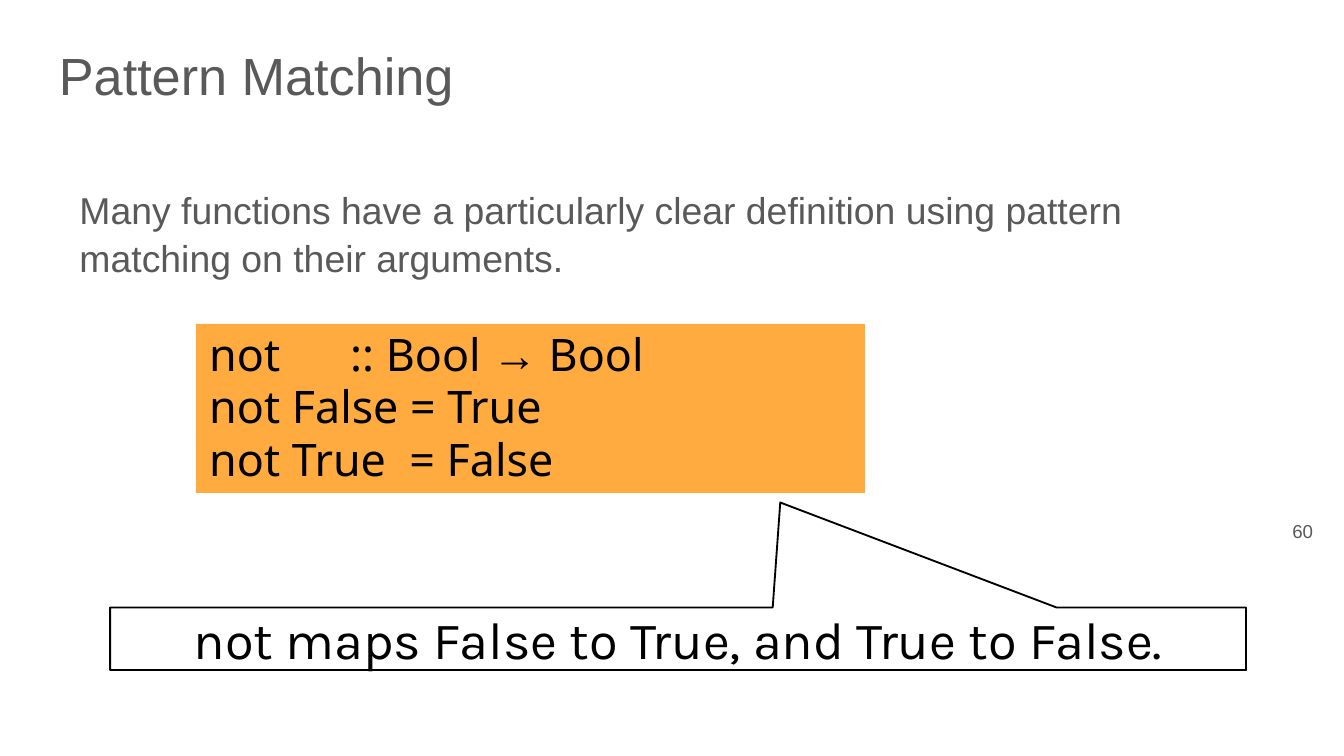
from dataclasses import dataclass

from pptx import Presentation
from pptx.dml.color import RGBColor
from pptx.enum.shapes import MSO_SHAPE
from pptx.enum.text import MSO_ANCHOR, PP_ALIGN
from pptx.util import Pt


@dataclass(frozen=True)
class Theme:
    gray: RGBColor = RGBColor(0x59, 0x59, 0x59)
    black: RGBColor = RGBColor(0, 0, 0)
    orange: RGBColor = RGBColor(0xFF, 0xAB, 0x40)
    sans: str = "Arial"
    code: str = "Noto Sans"
    arrow: str = "Times New Roman"
    note: str = "Karla"
    small: int = 10
    body: int = 20
    mono: int = 24
    large: int = 28


THEME = Theme()


def style(part, font, size, color, align=PP_ALIGN.LEFT, space=None):
    part.alignment = align
    part.line_spacing = space
    part.font.name = font
    part.font.size = Pt(size)
    part.font.color.rgb = color


def add_text(slide, box, text, size, anchor=MSO_ANCHOR.TOP, **kind):
    frame = slide.shapes.add_textbox(*map(Pt, box)).text_frame
    frame.word_wrap = True
    frame.vertical_anchor = anchor
    frame.text = text
    style(frame.paragraphs[0], THEME.sans, size, THEME.gray, **kind)


def add_panel(slide, kind, box):
    panel = slide.shapes.add_shape(kind, *map(Pt, box))
    panel.shadow.inherit = False
    panel.text_frame.word_wrap = True
    panel.text_frame.vertical_anchor = MSO_ANCHOR.MIDDLE
    return panel


def add_code(slide, box, lines):
    panel = add_panel(slide, MSO_SHAPE.RECTANGLE, box)
    panel.fill.solid()
    panel.fill.fore_color.rgb = THEME.orange
    panel.line.fill.background()
    frame = panel.text_frame
    for i, line in enumerate(lines):
        part = frame.add_paragraph() if i else frame.paragraphs[0]
        style(part, THEME.code, THEME.mono, THEME.black, space=0.97)
        # The arrow sign has its own font
        head, sign, tail = line.partition("→")
        for text in filter(None, (head, sign, tail)):
            run = part.add_run()
            run.text = text
            run.font.name = THEME.arrow if text == "→" else THEME.code


def add_callout(slide, box, tip, text):
    panel = add_panel(slide, MSO_SHAPE.ROUNDED_RECTANGULAR_CALLOUT, box)
    for i, value in enumerate((*tip, 0)):
        panel.adjustments[i] = value
    panel.fill.background()
    panel.line.color.rgb = THEME.black
    panel.line.width = Pt(1)
    panel.text_frame.text = text
    style(panel.text_frame.paragraphs[0], THEME.note, THEME.large,
          THEME.black, PP_ALIGN.CENTER)


def main():
    deck = Presentation()
    deck.slide_width, deck.slide_height = Pt(720), Pt(405)
    slide = deck.slides.add_slide(deck.slide_layouts[6])

    # Page number and title
    add_text(slide, (667.5, 275, 43, 23), "60", THEME.small,
             align=PP_ALIGN.RIGHT)
    add_text(slide, (24.5, 26.5, 671, 34), "Pattern Matching", THEME.large,
             MSO_ANCHOR.BOTTOM)

    # Lead sentence
    add_text(slide, (35.5, 96.5, 650, 56),
             "Many functions have a particularly clear definition using "
             "pattern matching on their arguments.",
             THEME.body, MSO_ANCHOR.MIDDLE, space=1.06)

    # Code and its explanation
    add_code(slide, (105, 173.5, 358.5, 90.5), (
        "not      :: Bool → Bool",
        "not False = True",
        "not True  = False",
    ))
    add_callout(slide, (59, 325.5, 608.5, 33.5), (0.09, -2.18),
                "not maps False to True, and True to False.")

    deck.save("out.pptx")


if __name__ == "__main__":
    main()
